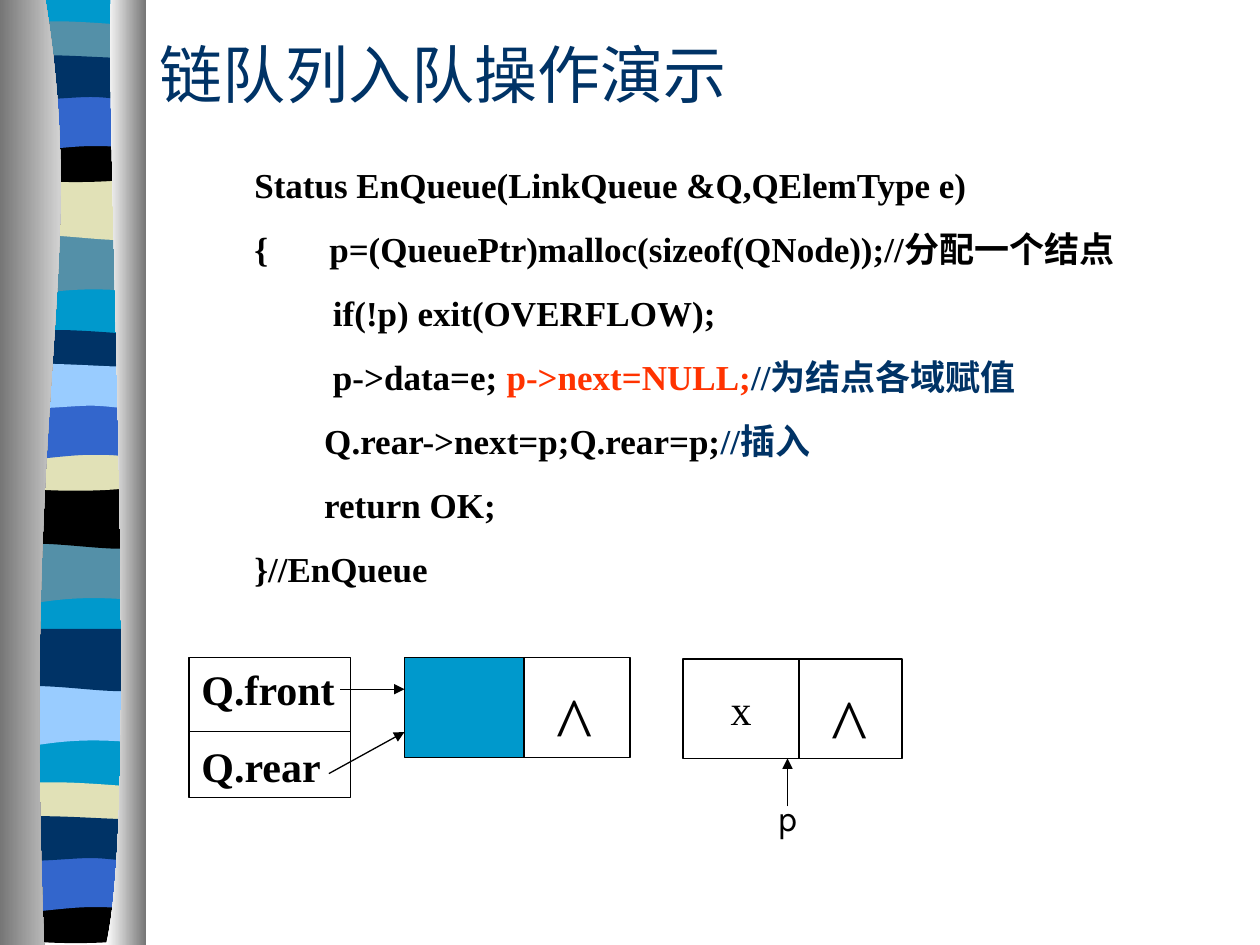
from lxml.etree import SubElement
from pptx import Presentation
from pptx.dml.color import RGBColor
from pptx.enum.shapes import MSO_CONNECTOR, MSO_SHAPE
from pptx.enum.text import MSO_ANCHOR, PP_ALIGN
from pptx.oxml.ns import qn
from pptx.util import Inches, Pt

W, H = Inches(10), Inches(7.5)
COLS, ROWS = 100, 75
SERIF = "Times New Roman"
BLACK, NAVY, BLUE, SKY = "000000", "003366", "3366CC", "99CCFF"
CYAN, TEAL, SAND, RED, GREY, WHITE = "0099CC", "5490A8", "E1E1B7", "FF3300", "767676", "FFFFFF"

BANDS = {
    "trough": [(1, 18.5), (1, 23.2), (.31, 22.4, .17, 24, 0, 23.2), (0, 18.5)],
    "swell": [(1, 14.1), (1, 18.8), (.83, 19.6, .31, 18.2, 0, 18.8), (0, 14.1)],
    "thin": [(1, 2.1), (1, 4.5), (.83, 4.9, .17, 4.9, 0, 4.5), (0, 2.1),
             (.06, 1.6, .21, 1.7, .38, 1.7), (.55, 1.7, .87, 2, 1, 2.1)],
    "bowl": [(1, 10.8), (1, 14), (.83, 14.6, .17, 14.6, 0, 14), (0, 10.8),
             (.61, 11.3, .79, 10.8, 1, 10.8)],
    "arch": [(1, 7.4), (1, 12.1), (.84, 11.6, .78, 11.6, .61, 11.6),
             (.44, 11.6, .15, 12.1, 0, 12.1), (0, 7.4)],
    "double": [(1, 4.6), (1, 7.7), (.94, 8.2, .78, 7.7, .61, 7.7),
               (.44, 7.7, .1, 8.2, 0, 7.7), (0, 4.6), (.14, 4.1, .68, 4.6, .84, 4.6)],
}
BAND_GROUPS = [
    (0, dict(trough=TEAL, swell=SAND, thin=TEAL, bowl=BLACK, arch=BLUE, double=NAVY)),
    (24.5, dict(trough=TEAL, swell=BLACK, thin=NAVY, bowl=SAND, arch=BLUE, double=SKY)),
    (35.8, dict(trough=SKY, swell=NAVY)),
    (60.4, dict(thin=SAND, bowl=BLACK, arch=BLUE, double=NAVY)),
]
LEFT_EDGE = [(3.6, 0), (7.1, 21.6, 1.7, 29.6, 3.5, 75), (0, 75), (0, 0)]
RIGHT_EDGE = [(8.8, 0), (8.4, 12.5, 11.1, 64.6, 8.4, 75), (11.6, 75), (11.6, 0)]

CODE = [
    ["Status EnQueue(LinkQueue &Q,QElemType e)"],
    ["{       p=(QueuePtr)malloc(sizeof(QNode));//分配一个结点"],
    ["         if(!p) exit(OVERFLOW);"],
    ["         p->data=e;", (" p->next=NULL;", RED), ("//为结点各域赋值", NAVY)],
    ["        Q.rear->next=p;Q.rear=p;", ("//插入", NAVY)],
    ["        return OK;"],
    ["}//EnQueue"],
]


def rgb(value):
    return RGBColor.from_string(value)


def place(x, y):
    return round(x * W / COLS), round(y * H / ROWS)


def within(box, x, y, w=0, h=0):
    left, top, width, height = box
    return left + x * width, top + y * height, w * width, h * height


def outline(s, box, steps, *colors):
    points = [place(*within(box, *step[i:i + 2])[:2])
              for step in steps for i in range(0, len(step), 2)]
    builder = s.shapes.build_freeform(*points[0])
    builder.add_line_segments(points[1:])
    sp = builder.convert_to_shape()
    segments = iter(list(sp._element.iter(qn("a:lnTo"))))
    for step in steps[1:]:
        segment = next(segments)
        if len(step) == 6:
            segment.tag = qn("a:cubicBezTo")
            for _ in range(2):
                extra = next(segments)
                segment.append(extra[0])
                extra.getparent().remove(extra)
    sp.shadow.inherit = False
    sp.line.fill.background()
    if len(colors) == 1:
        sp.fill.solid()
        sp.fill.fore_color.rgb = rgb(colors[0])
    else:
        sp.fill.gradient()
        sp.fill.gradient_angle = 0
        for stop, color in zip(sp.fill.gradient_stops, colors):
            stop.color.rgb = rgb(color)


def write(sp, lines, size=20, font=SERIF, color=BLACK, bold=False, gap=0,
          anchor=MSO_ANCHOR.TOP, align=PP_ALIGN.LEFT, wrap=True):
    tf = sp.text_frame
    tf.word_wrap = wrap
    tf.vertical_anchor = anchor
    for i, line in enumerate(lines):
        p = tf.add_paragraph() if i else tf.paragraphs[0]
        p.alignment = align
        p.space_before = Pt(gap if i else 0)
        for part in line:
            text, tint = (part, color) if isinstance(part, str) else part
            r = p.add_run()
            r.text = text
            r.font.size = Pt(size)
            r.font.name = font
            r.font.bold = bold
            r.font.color.rgb = rgb(tint)


def label(s, box, lines, **fmt):
    x, y, w, h = box
    write(s.shapes.add_textbox(*place(x, y), *place(w, h)), lines, **fmt)


def cell(s, box, fill=None):
    x, y, w, h = box
    sp = s.shapes.add_shape(MSO_SHAPE.RECTANGLE, *place(x, y), *place(w, h))
    sp.shadow.inherit = False
    sp.line.color.rgb = rgb(BLACK)
    sp.line.width = Pt(.75)
    if fill:
        sp.fill.solid()
        sp.fill.fore_color.rgb = rgb(fill)
    else:
        sp.fill.background()
    return sp


def line(s, start, end, arrow=True):
    c = s.shapes.add_connector(MSO_CONNECTOR.STRAIGHT, *place(*start), *place(*end))
    c.line.color.rgb = rgb(BLACK)
    c.line.width = Pt(.75)
    if arrow:
        SubElement(c.line._get_or_add_ln(), qn("a:tailEnd"), type="triangle")
    SubElement(c._element.spPr, qn("a:effectLst"))


def ribbon(s, box):
    left, top, width, height = box
    outline(s, box, [(1, 0), (1, 1), (0, 1), (0, 0)], CYAN)
    for base, colors in BAND_GROUPS:
        for name, color in colors.items():
            outline(s, (left, top + base, width, 1), BANDS[name], color)
    outline(s, (0, top, 1, 1), LEFT_EDGE, GREY, WHITE)
    outline(s, (0, top, 1, 1), RIGHT_EDGE, WHITE, GREY)


def pointers(s, box):
    write(cell(s, box), [["Q.front"], ["Q.rear"]], size=24, bold=True, gap=15)
    line(s, within(box, 0, .53)[:2], within(box, 1, .53)[:2], arrow=False)


def node(s, box, fill=None, data=None):
    split = .53
    sp = cell(s, within(box, 0, 0, split, 1), fill)
    if data:
        write(sp, [[data]], size=24, anchor=MSO_ANCHOR.MIDDLE,
              align=PP_ALIGN.CENTER, wrap=False)
    cell(s, within(box, split, 0, 1 - split, 1))
    label(s, within(box, .62, .11, .29, 1.06), [["^"]], size=44)


def queue_diagram(s, box):
    pointers(s, within(box, 0, 0, 1.28, 1.11))
    node(s, within(box, 1.71, 0, 1.79, .79), fill=CYAN)
    node(s, within(box, 3.92, .01, 1.74, .79), data="x")
    for start, end in [((1.2, .25), (1.71, .25)), ((1.11, .92), (1.71, .59)),
                       ((4.75, 1.18), (4.75, .8))]:
        line(s, within(box, *start)[:2], within(box, *end)[:2])
    label(s, within(box, 4.57, 1.05, .83, .44), [["p"]], font="Karla")


def main():
    prs = Presentation()
    prs.slide_width, prs.slide_height = W, H
    s = prs.slides.add_slide(prs.slide_layouts[6])
    ribbon(s, (.6, 0, 10.8, 74.7))
    label(s, (11.7, 1.7, 58.8, 8.3), [["链队列入队操作演示"]], size=36, color=NAVY,
          anchor=MSO_ANCHOR.MIDDLE)
    label(s, (19.2, 12.5, 71.7, 34.8), CODE, bold=True, gap=12.5)
    queue_diagram(s, (15, 52.2, 10, 10))
    prs.save("out.pptx")


if __name__ == "__main__":
    main()
